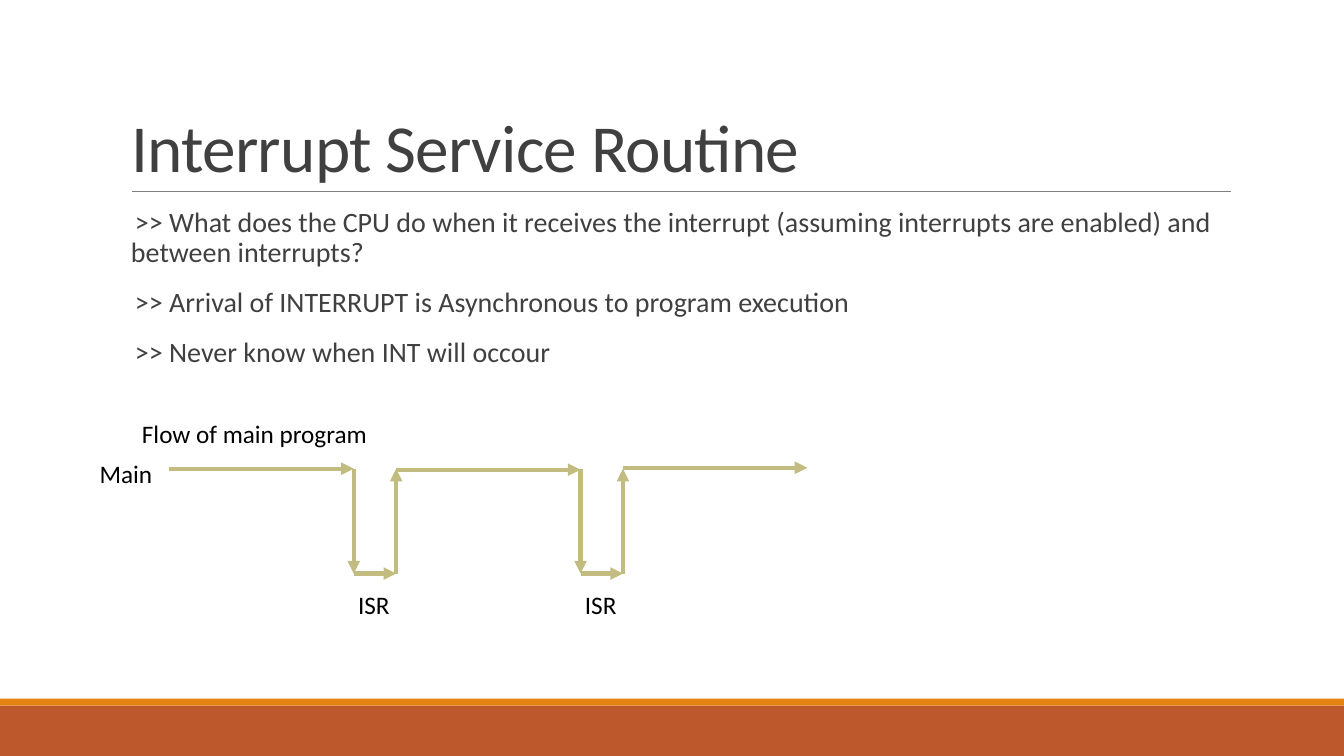
"""Build the Interrupt Service Routine slide with its flow of arrows."""
from lxml import etree
from pptx import Presentation
from pptx.dml.color import RGBColor
from pptx.enum import shapes, text
from pptx.oxml import ns
from pptx.util import Pt


def paint(color, code):
    color.rgb = RGBColor.from_string(code)


def write(par, words, size, code):
    run = par.add_run()
    run.text = words
    for key, val in {"name": "Calibri", "size": Pt(size)}.items():
        setattr(run.font, key, val)
    paint(run.font.color, code)
    return run


deck = Presentation()
deck.slide_width, deck.slide_height = Pt(960), Pt(540)
slide = deck.slides.add_slide(deck.slide_layouts[5])
items = slide.shapes

for top, high, code in [(504, 36, "BD582C"), (499, 5, "E48312")]:
    band = items.add_shape(shapes.MSO_SHAPE.RECTANGLE, 0, Pt(top), Pt(960), Pt(high))
    band.shadow.inherit = False
    band.fill.solid()
    paint(band.fill.fore_color, code)
    band.line.fill.background()

title = items.title
place = {"left": 86.4, "top": 22.5, "width": 792, "height": 114.3}
for key, val in place.items():
    setattr(title, key, Pt(val))
frame = title.text_frame
look = {"vertical_anchor": text.MSO_ANCHOR.BOTTOM,
        "auto_size": text.MSO_AUTO_SIZE.NONE, "word_wrap": True}
for key, val in look.items():
    setattr(frame, key, val)
par = frame.paragraphs[0]
par.alignment = text.PP_ALIGN.LEFT
par.line_spacing = 0.85
run = write(par, "Interrupt Service Routine", 48, "404040")
run.font._element.set("spc", "-50")

body = items.add_textbox(Pt(86.4), Pt(145.4), Pt(792), Pt(316.8)).text_frame
body.word_wrap = True
body.margin_left = body.margin_right = 0
points = [
    ">> What does the CPU do when it receives the interrupt "
    "(assuming interrupts are enabled) and between interrupts?",
    ">> Arrival of INTERRUPT is Asynchronous to program execution",
    ">> Never know when INT will occour",
]
look = {"line_spacing": 0.9, "space_before": Pt(12), "space_after": Pt(2)}
for num, words in enumerate(points):
    par = body.add_paragraph() if num else body.paragraphs[0]
    for key, val in look.items():
        setattr(par, key, val)
    props = par._p.get_or_add_pPr()
    props.set("marL", str(Pt(7.2)))
    props.set("indent", str(-Pt(7.2)))
    tint = etree.SubElement(props, ns.qn("a:buClr"))
    etree.SubElement(tint, ns.qn("a:srgbClr"), val="E48312")
    etree.SubElement(props, ns.qn("a:buChar"), char=" ")
    write(par, words, 20, "404040")

start, step, run_len, gap = 121, 162, 131.7, 30.3
high, low = 334.8, 409.7
lines = [(94.3, 136.8, 879.1, 136.8, "808080", 0.5)]
for num, level in enumerate([high, 335.5, 334.1]):
    left = start + num * step
    down, up = left + run_len, left + run_len + gap
    legs = [(left, level, down, level)]
    if num < 2:
        legs += [(down, high, down, low), (down, low, up, low), (up, low, up, high)]
    lines += [leg + ("C2BC80", 3) for leg in legs]

for *ends, code, wide in lines:
    line = items.add_connector(shapes.MSO_CONNECTOR.STRAIGHT, *map(Pt, ends))
    paint(line.line.color, code)
    line.line.width = Pt(wide)
    if wide == 3:
        etree.SubElement(line.line._get_or_add_ln(), ns.qn("a:tailEnd"), type="triangle")
    etree.SubElement(line._element.spPr, ns.qn("a:effectLst"))

labels = [
    ("ISR", 248.7, 417.6, 37.4, False),
    ("ISR", 248.7 + step, 417.6, 37.4, False),
    ("Flow of main program", 94.3, 295.5, 193.7, True),
    ("Main", 64.1, 323.6, 52.6, False),
]
for words, left, top, wide, wrap in labels:
    frame = items.add_textbox(Pt(left), Pt(top), Pt(wide), Pt(29)).text_frame
    frame.word_wrap = wrap
    frame.auto_size = text.MSO_AUTO_SIZE.SHAPE_TO_FIT_TEXT
    write(frame.paragraphs[0], words, 18, "000000")

deck.save("out.pptx")
